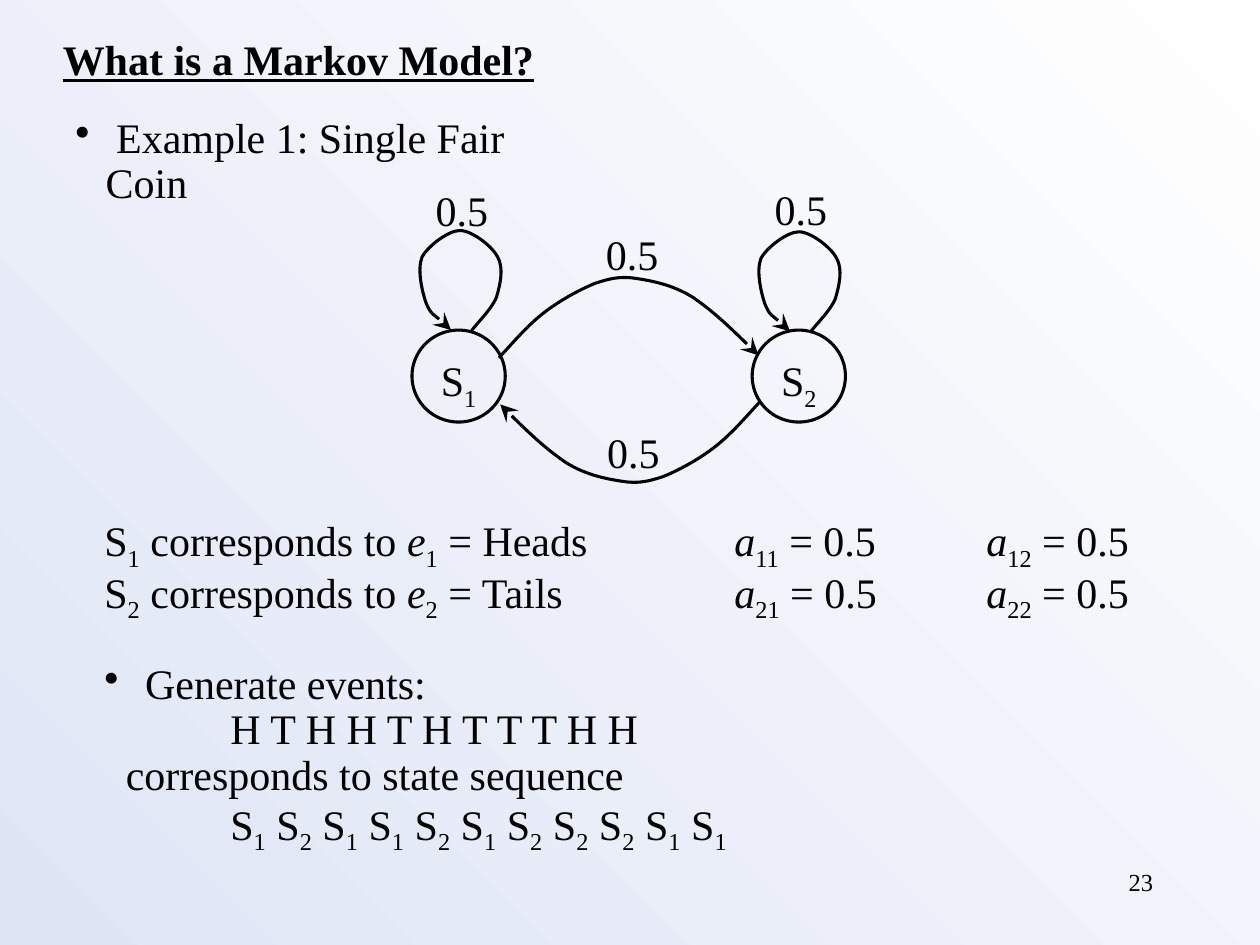
"""Build the Markov model slide for a single fair coin."""
from lxml.etree import SubElement
from pptx import Presentation
from pptx.dml.color import RGBColor
from pptx.enum.shapes import MSO_SHAPE
from pptx.enum.text import MSO_AUTO_SIZE, PP_ALIGN
from pptx.oxml.ns import qn
from pptx.util import Inches, Pt

BLACK = RGBColor(0, 0, 0)
WHITE = RGBColor(255, 255, 255)
BLUE = RGBColor(0xDF, 0xE5, 0xF5)
FONT = {"name": "Times New Roman", "size": Pt(24)}
HEAD = {"bold": True, "underline": True}
SMALL = {"size": Pt(14)}

STATES = "12112122211"
ROWS = [
    {"text": "S|_1| corresponds to |*e|_1| = Heads\t\t|*a|_11| = 0.5\t|*a|_12| = 0.5"},
    {"text": "S|_2| corresponds to |*e|_2| = Tails\t\t|*a|_21| = 0.5\t|*a|_22| = 0.5"},
    {"text": " Generate events:|\n|\tH T H H T H T T T H H", "dot": True, "gap": 25.5},
    {"text": "corresponds to state sequence|\n|\t" + "| ".join(f"S|_{n}" for n in STATES),
     "first": 0.17},
]
NODES = [("1", 3.27), ("2", 5.97)]
ODDS = [(4.71, 1.81), (4.72, 3.38), (3.36, 1.46), (6.05, 1.45)]
ARC = [(3.96, 2.84), (4.08, 2.71), (4.19, 2.58), (4.32, 2.48), (4.45, 2.38),
       (4.6, 2.3), (4.72, 2.25), (4.84, 2.21), (4.92, 2.19), (5.05, 2.21),
       (5.18, 2.23), (5.34, 2.26), (5.5, 2.36), (5.66, 2.47), (5.84, 2.64),
       (6.02, 2.82)]
LOOP = [(3.74, 2.63), (3.77, 2.58), (3.9, 2.46), (3.94, 2.36), (3.97, 2.26),
        (4, 2.13), (3.95, 2.04), (3.91, 1.96), (3.75, 1.83), (3.65, 1.83),
        (3.56, 1.83), (3.4, 1.95), (3.35, 2.04), (3.31, 2.14), (3.35, 2.31),
        (3.38, 2.4), (3.42, 2.5), (3.54, 2.57), (3.58, 2.62)]
CURVES = [ARC, [(9.99 - x, 6.03 - y) for x, y in ARC],
          LOOP, [(x + 2.69, y + 0.01) for x, y in LOOP]]


def add_runs(para, text, font):
    for part in text.split("|"):
        if part == "\n":
            para.add_line_break()
            continue
        run = para.add_run()
        run.text = part.lstrip("_*")
        for key, val in {**FONT, **font}.items():
            setattr(run.font, key, val)
        run.font.color.rgb = BLACK
        if part.startswith("*"):
            run.font.italic = True
        if part.startswith("_"):
            run.font._element.set("baseline", "-25000")


def set_para(para, dot=False, gap=0, first=0):
    para.line_spacing = 0.9
    para.space_before = Pt(gap)
    props = para._p.get_or_add_pPr()
    props.set("marL", str(Inches(0.24 if dot else 0)))
    props.set("indent", str(Inches(-0.24 if dot else first)))
    props.set("defTabSz", str(Inches(1)))
    if dot:
        SubElement(props, qn("a:buChar"), char="•")
    tabs = SubElement(props, qn("a:tabLst"))
    for stop in range(dot, dot + 8):
        SubElement(tabs, qn("a:tab"), pos=str(Inches(stop)), algn="l")


def add_text(slide, box, rows, wrap=False, font={}):
    frame = slide.shapes.add_textbox(*map(Inches, box)).text_frame
    frame.word_wrap = wrap
    frame.auto_size = MSO_AUTO_SIZE.SHAPE_TO_FIT_TEXT
    for i, row in enumerate(rows):
        para = frame.add_paragraph() if i else frame.paragraphs[0]
        form = dict(row)
        add_runs(para, form.pop("text"), font)
        set_para(para, **form)
    return frame


def set_line(shape):
    shape.shadow.inherit = False
    shape.fill.background()
    shape.line.color.rgb = BLACK
    shape.line.width = Pt(1.75)


def add_curve(slide, points):
    start, *rest = [(Inches(x), Inches(y)) for x, y in points]
    form = slide.shapes.build_freeform(*start)
    form.add_line_segments(rest, close=False)
    shape = form.convert_to_shape()
    set_line(shape)
    lines = list(shape._element.iter(qn("a:lnTo")))
    for i in range(0, len(lines), 3):
        trace = lines[i].getparent()
        bend = SubElement(trace, qn("a:cubicBezTo"))
        for line in lines[i:i + 3]:
            bend.append(line[0])
            trace.remove(line)
    SubElement(shape.line._get_or_add_ln(), qn("a:tailEnd"),
               type="stealth", w="lg", len="lg")


def main():
    deck = Presentation()
    deck.slide_width, deck.slide_height = Inches(10), Inches(7.5)
    slide = deck.slides.add_slide(deck.slide_layouts[6])
    fill = slide.background.fill
    fill.gradient()
    fill.gradient_angle = 225
    for stop, color in zip(fill.gradient_stops, (WHITE, BLUE)):
        stop.color.rgb = color

    add_text(slide, (0.5, 0.88, 4.21, 0.46),
             [{"text": " Example 1: Single Fair Coin", "dot": True}], True)
    title = add_text(slide, (0.4, 0.22, 3.94, 0.5),
                     [{"text": "What is a Markov Model?"}], font=HEAD)
    title.paragraphs[0].line_spacing = 1.0
    for name, left in NODES:
        ring = slide.shapes.add_shape(
            MSO_SHAPE.OVAL, *map(Inches, (left, 2.62, 0.74, 0.73)))
        set_line(ring)
        add_text(slide, (left + 0.13, 2.77, 0.48, 0.51), [{"text": f"S|_{name}"}])
    for points in CURVES:
        add_curve(slide, points)
    for left, top in ODDS:
        add_text(slide, (left, top, 0.63, 0.46), [{"text": "0.5"}])
    add_text(slide, (0.73, 4.04, 8.52, 2.77), ROWS, True)
    page = add_text(slide, (7.17, 6.83, 2.08, 0.5), [{"text": "23"}], True, SMALL)
    page.auto_size = MSO_AUTO_SIZE.NONE
    page.paragraphs[0].alignment = PP_ALIGN.RIGHT
    page.paragraphs[0].line_spacing = 1.0
    deck.save("out.pptx")


if __name__ == "__main__":
    main()
